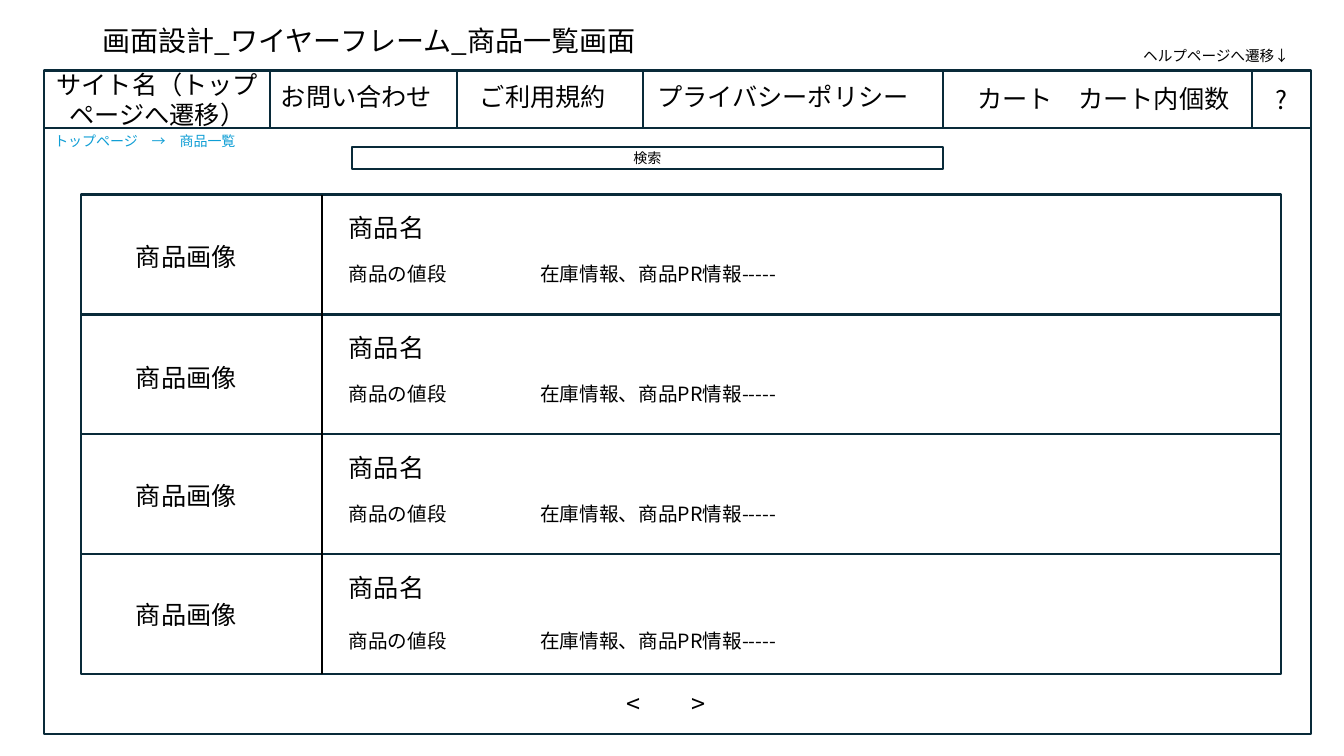
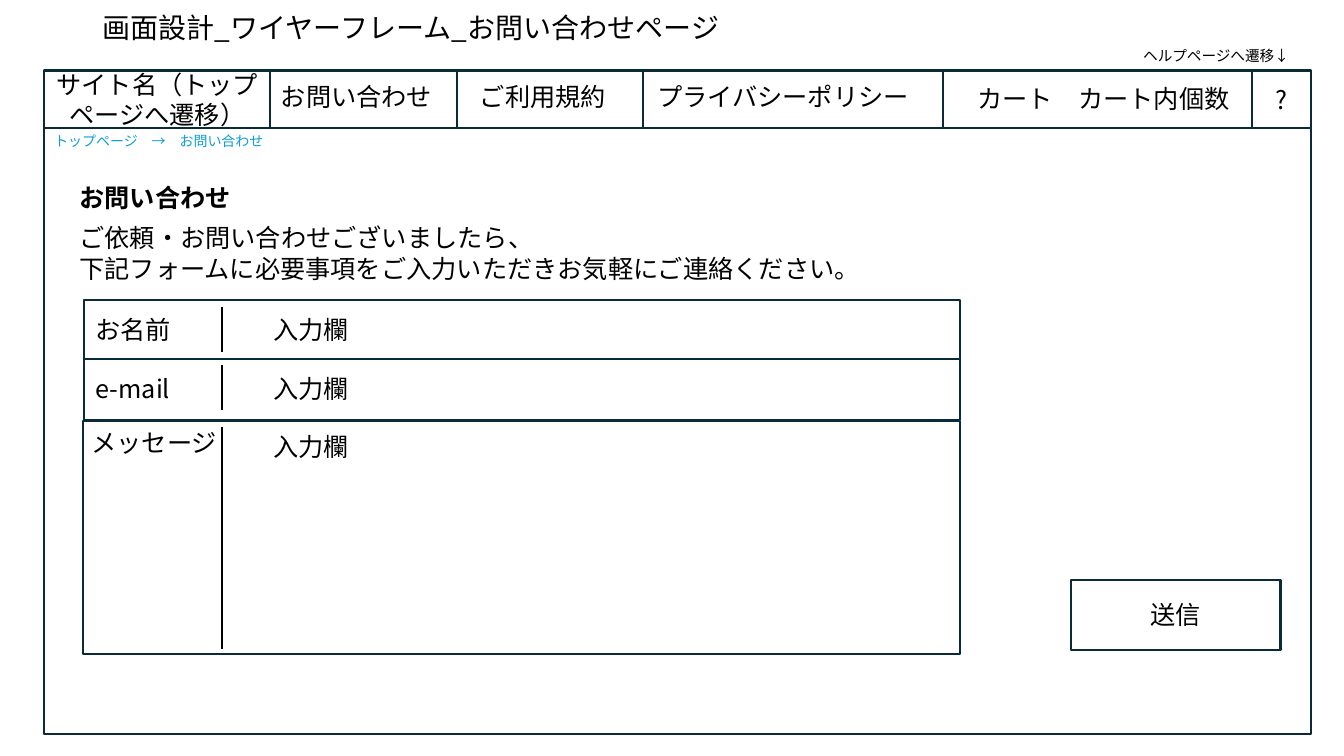
from dataclasses import dataclass

from lxml.etree import SubElement
from pptx import Presentation
from pptx.dml.color import RGBColor
from pptx.enum.shapes import MSO_CONNECTOR, MSO_SHAPE
from pptx.enum.text import MSO_ANCHOR, PP_ALIGN
from pptx.oxml.ns import qn
from pptx.slide import Slide
from pptx.text.text import TextFrame
from pptx.util import Pt

PX = 9144
FONT = "Noto Sans CJK JP"
COLORS = {"text": "000000", "edge": "092A39", "crumb": "0F9ED5"}
LEFT, TOP, WIDTH, HEIGHT = 44, 70, 1256, 658
BAR = 57


@dataclass(frozen=True)
class Tab:
    width: int
    label: str
    dx: int = 0
    dy: int = 0


@dataclass(frozen=True)
class Item:
    image: int
    price: int


@dataclass(frozen=True)
class Field:
    label: str
    x: int
    y: int
    width: int
    height: int
    label_x: int
    label_y: int
    input_y: int
    rule: tuple[int, int]


TABS = (
    Tab(224, "サイト名（トップページへ遷移）"),
    Tab(185, "お問い合わせ", -7, -3),
    Tab(185, "ご利用規約", -7, -3),
    Tab(297, "プライバシーポリシー", -10, -3),
    Tab(307, "カート　カート内個数", 6, -1),
    Tab(58, "?"),
)
ITEMS = (Item(41, 62), Item(43, 62), Item(41, 62), Item(40, 69))
FIELDS = (
    Field("お名前", 83, 298, 869, 58, 85, 307, 307, (305, 349)),
    Field("e-mail", 83, 356, 869, 61, 85, 365, 365, (362, 407)),
    Field("メッセージ", 82, 418, 870, 231, 81, 419, 423, (424, 644)),
)


def color(name: str) -> RGBColor:
    return RGBColor.from_string(COLORS[name])


def write(frame: TextFrame, text: str, size: float = 18, tint: str = "text",
          align: PP_ALIGN = PP_ALIGN.LEFT, bold: bool = False) -> None:
    frame.word_wrap = True
    frame.text = text
    for para in frame.paragraphs:
        para.alignment = align
        font = para.font
        font.name, font.size, font.bold = FONT, Pt(size), bold
        font.color.rgb = color(tint)
        SubElement(font._element, qn("a:ea"), typeface=FONT)


def label(slide: Slide, x: int, y: int, w: int, h: int, text: str,
          size: float = 18, tint: str = "text", bold: bool = False) -> TextFrame:
    frame = slide.shapes.add_textbox(x * PX, y * PX, w * PX, h * PX).text_frame
    write(frame, text, size, tint, bold=bold)
    return frame


def box(slide: Slide, x: int, y: int, w: int, h: int,
        text: str = "", size: float = 18) -> TextFrame:
    shape = slide.shapes.add_shape(
        MSO_SHAPE.RECTANGLE, x * PX, y * PX, w * PX, h * PX)
    shape.shadow.inherit = False
    shape.fill.background()
    shape.line.color.rgb = color("edge")
    shape.line.width = Pt(1.5)
    frame = shape.text_frame
    if text:
        frame.vertical_anchor = MSO_ANCHOR.MIDDLE
        write(frame, text, size, align=PP_ALIGN.CENTER)
    return frame


def rule(slide: Slide, x1: int, y1: int, x2: int, y2: int) -> None:
    line = slide.shapes.add_connector(
        MSO_CONNECTOR.STRAIGHT, x1 * PX, y1 * PX, x2 * PX, y2 * PX)
    line.line.color.rgb = color("text")
    line.line.width = Pt(1.5)
    SubElement(line._element.spPr, qn("a:effectLst"))


def shift(frame: TextFrame, dx: int, dy: int) -> None:
    frame.margin_left = (5 + 2 * max(dx, 0)) * PX
    frame.margin_right = (5 + 2 * max(-dx, 0)) * PX
    frame.margin_top = 2 * max(dy, 0) * PX
    frame.margin_bottom = 2 * max(-dy, 0) * PX


def page(deck: Presentation, title: str, width: int, height: int,
         crumb: str) -> Slide:
    slide = deck.slides.add_slide(deck.slide_layouts[6])
    head = label(slide, 92, 23, width, height, f"画面設計_ワイヤーフレーム_{title}", 20)
    head.vertical_anchor = MSO_ANCHOR.MIDDLE
    head.paragraphs[0].line_spacing = 0.9
    box(slide, LEFT, TOP, WIDTH, HEIGHT)
    base = TOP + BAR
    rule(slide, LEFT + TABS[0].width, base, LEFT + WIDTH - TABS[-1].width, base)
    x = LEFT
    for tab in TABS:
        shift(box(slide, x, TOP, tab.width, BAR, tab.label), tab.dx, tab.dy)
        x += tab.width
    label(slide, LEFT, base, 491, 27, f"トップページ　→　{crumb}", 10, "crumb")
    label(slide, 1124, 42, 176, 28, "ヘルプページへ遷移↓", 10.5)
    return slide


def products(deck: Presentation) -> None:
    slide = page(deck, "商品一覧画面", 559, 38, "商品一覧")
    box(slide, 349, 146, 586, 22, "検索", 10)
    top, step = 193, 119
    for row, item in enumerate(ITEMS):
        y = top + row * step
        box(slide, 80, y, 1191, step)
        label(slide, 125, y + item.image, 129, 40, "商品画像")
        label(slide, 336, y + 13, 129, 40, "商品名")
        label(slide, 336, y + item.price, 146, 34, "商品の値段", 14)
        label(slide, 526, y + item.price, 727, 34, "在庫情報、商品PR情報-----", 14)
    rule(slide, 319, top, 319, top + len(ITEMS) * step)
    label(slide, 612, 678, 160, 40, "<　　>")


def contact(deck: Presentation) -> None:
    slide = page(deck, "お問い合わせページ", 682, 13, "お問い合わせ")
    label(slide, 69, 176, 300, 40, "お問い合わせ", bold=True)
    label(slide, 69, 216, 975, 71,
          "ご依頼・お問い合わせございましたら、\n"
          "下記フォームに必要事項をご入力いただきお気軽にご連絡ください。")
    for field in FIELDS:
        box(slide, field.x, field.y, field.width, field.height)
        label(slide, field.label_x, field.label_y, 150, 40, field.label)
        label(slide, 261, field.input_y, 129, 40, "入力欄")
        rule(slide, 220, field.rule[0], 220, field.rule[1])
    box(slide, 1062, 575, 208, 70, "送信")


def main() -> None:
    deck = Presentation()
    deck.slide_width, deck.slide_height = 1333 * PX, 750 * PX
    products(deck)
    contact(deck)
    deck.save("out.pptx")


if __name__ == "__main__":
    main()
